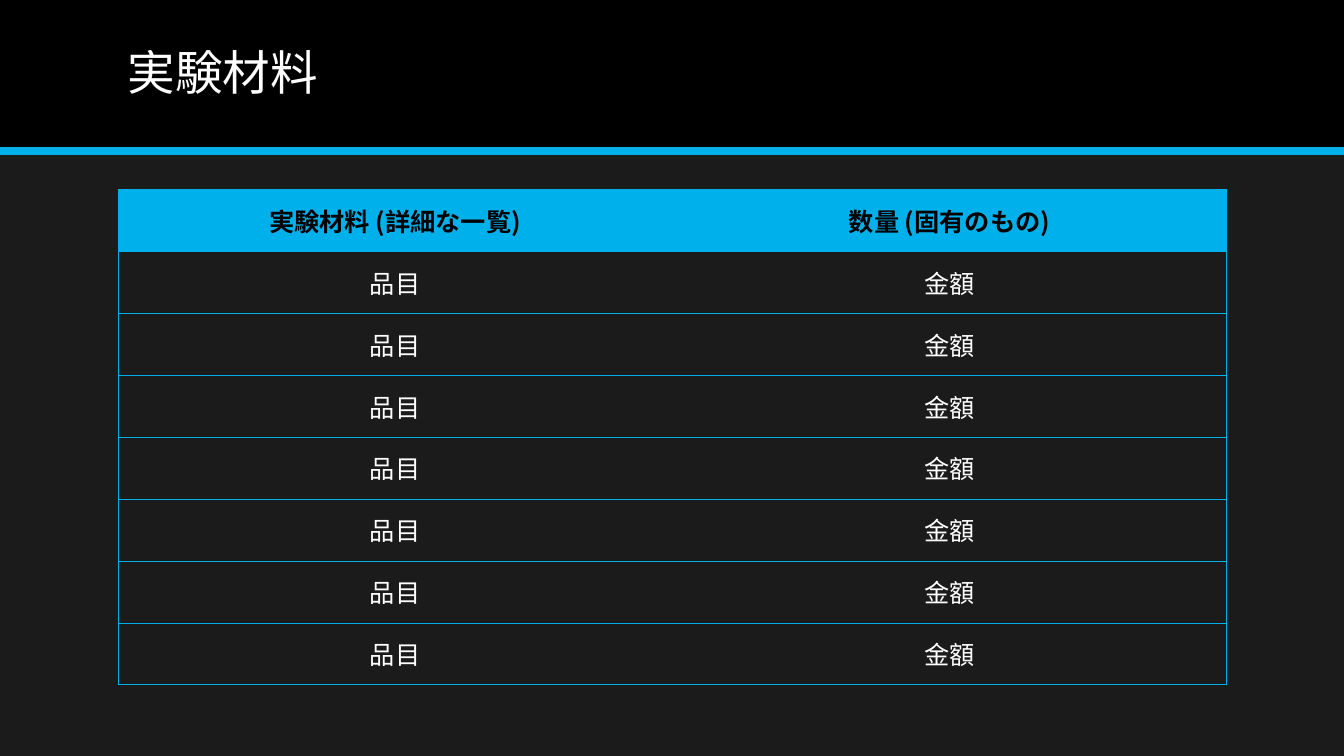
from lxml.etree import SubElement
from pptx import Presentation
from pptx.dml.color import RGBColor
from pptx.enum.shapes import MSO_CONNECTOR, MSO_SHAPE
from pptx.enum.text import MSO_ANCHOR, PP_ALIGN
from pptx.oxml.ns import qn
from pptx.util import Cm, Pt

WIDE, HIGH = 33.87, 19.05
LEFT, SPAN = 2.97, 27.94
BAND = 3.81
BLUE, BLACK, WHITE, DARK = "00B0EA", "000000", "FFFFFF", "1B1B1B"


def color(code):
    return RGBColor.from_string(code)


class Deck:
    """Holds the font and the current slide, and draws each kind of element."""

    def __init__(self, font):
        self.font = font
        self.file = Presentation()
        self.file.slide_width, self.file.slide_height = Cm(WIDE), Cm(HIGH)
        self.slide = self.file.slides.add_slide(self.file.slide_layouts[6])
        self.shapes = self.slide.shapes

    def back(self, code):
        fill = self.slide.background.fill
        fill.solid()
        fill.fore_color.rgb = color(code)

    def rect(self, x, y, w, h, code):
        box = self.shapes.add_shape(MSO_SHAPE.RECTANGLE, Cm(x), Cm(y), Cm(w), Cm(h))
        box.shadow.inherit = False
        box.fill.solid()
        box.fill.fore_color.rgb = color(code)
        box.line.fill.background()

    def rule(self, x, y, w, code, size):
        line = self.shapes.add_connector(
            MSO_CONNECTOR.STRAIGHT, Cm(x), Cm(y), Cm(x + w), Cm(y))
        line.line.color.rgb = color(code)
        line.line.width = Pt(size)
        SubElement(line._element.spPr, qn("a:effectLst"))

    def label(self, frame, text, size, code, bold=False, align=PP_ALIGN.LEFT):
        para = frame.paragraphs[0]
        para.text = text
        para.alignment = align
        font = para.font
        font.size, font.bold, font.name = Pt(size), bold, self.font
        font.color.rgb = color(code)
        props = para._p.pPr.find(qn("a:defRPr"))
        SubElement(props, qn("a:ea"), typeface=self.font)
        return para

    def title(self, x, y, w, h, text):
        frame = self.shapes.add_textbox(Cm(x), Cm(y), Cm(w), Cm(h)).text_frame
        frame.word_wrap = True
        frame.vertical_anchor = MSO_ANCHOR.MIDDLE
        self.label(frame, text, 34, WHITE).line_spacing = 0.9

    def edge(self, cell, sides):
        props = cell._tc.get_or_add_tcPr()
        for side in "LRTB":
            line = SubElement(props, qn("a:ln" + side), w=str(Pt(0.23)))
            if side in sides:
                fill = SubElement(line, qn("a:solidFill"))
                SubElement(fill, qn("a:srgbClr"), val=BLUE)
            else:
                SubElement(line, qn("a:noFill"))

    def table(self, x, y, w, step, rows):
        grid = self.shapes.add_table(
            len(rows), len(rows[0]), Cm(x), Cm(y), Cm(w), Cm(step * len(rows))).table
        grid.first_row = grid.horz_banding = False
        for r, row in enumerate(rows):
            grid.rows[r].height = Cm(step)
            for c, text in enumerate(row):
                cell, head = grid.cell(r, c), r == 0
                self.edge(cell, "TB" + "LR"[c])
                if head:
                    cell.fill.solid()
                    cell.fill.fore_color.rgb = color(BLUE)
                else:
                    cell.fill.background()
                cell.vertical_anchor = MSO_ANCHOR.MIDDLE
                self.label(cell.text_frame, text, 18, BLACK if head else WHITE,
                           head, PP_ALIGN.CENTER)

    def save(self):
        self.file.save("out.pptx")


def main():
    deck = Deck("Noto Sans CJK JP")
    deck.back(DARK)
    deck.rect(0, 0, WIDE, BAND, BLACK)
    deck.rule(0, BAND, WIDE, BLUE, 6)
    deck.title(LEFT, 0.36, SPAN, 3.05, "実験材料")
    rows = [("実験材料 (詳細な一覧)", "数量 (固有のもの)")] + [("品目", "金額")] * 7
    deck.table(LEFT, 4.77, SPAN, 1.56, rows)
    deck.save()


if __name__ == "__main__":
    main()
